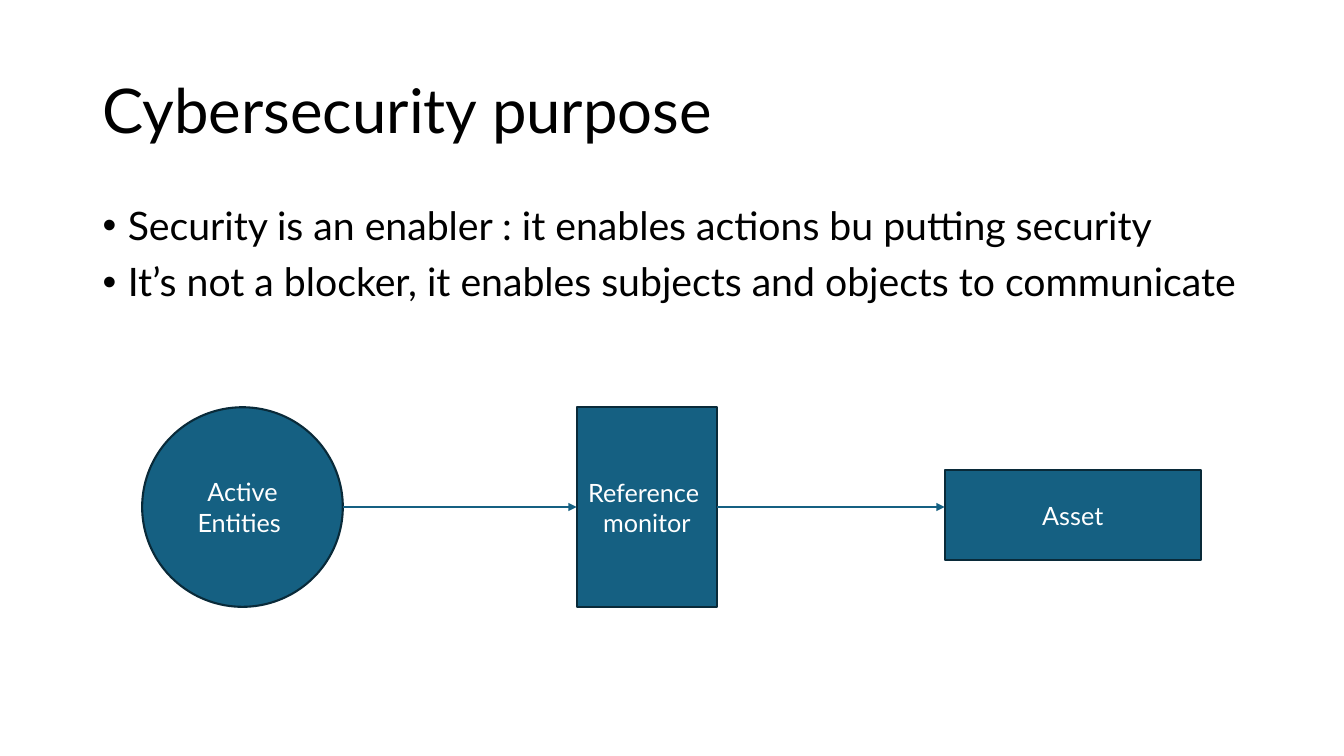
from lxml.etree import SubElement
from pptx import Presentation
from pptx.dml.color import RGBColor
from pptx.enum.shapes import MSO_CONNECTOR, MSO_SHAPE
from pptx.enum.text import MSO_ANCHOR, PP_ALIGN
from pptx.oxml.ns import qn
from pptx.util import Inches, Pt

FONT = "Lato"
COLORS = {"text": "000000", "label": "FFFFFF", "fill": "156082", "outline": "092A39"}
FLOW_Y = 5.03


def color(name):
    return RGBColor.from_string(COLORS[name])


def style_text(para, size, color_name):
    for span in para.runs:
        span.font.name = FONT
        span.font.size = Pt(size)
        span.font.color.rgb = color(color_name)


def add_bullet(para):
    properties = para._p.get_or_add_pPr()
    properties.set("marL", str(Inches(0.25)))
    properties.set("indent", str(-Inches(0.25)))
    SubElement(properties, qn("a:buFont"), typeface="Arial")
    SubElement(properties, qn("a:buChar"), char="•")


def add_text(page, place, text, size, anchor, bulleted=False):
    box = page.shapes.add_textbox(*map(Inches, place))
    frame = box.text_frame
    frame.word_wrap = True
    frame.vertical_anchor = anchor
    frame.text = text
    for para in frame.paragraphs:
        para.line_spacing = 0.9
        style_text(para, size, "text")
        if bulleted:
            para.space_before = Pt(10)
            add_bullet(para)


def add_node(page, kind, place, text):
    node = page.shapes.add_shape(kind, *map(Inches, place))
    node.shadow.inherit = False
    node.fill.solid()
    node.fill.fore_color.rgb = color("fill")
    node.line.color.rgb = color("outline")
    node.line.width = Pt(1.5)
    frame = node.text_frame
    frame.word_wrap = True
    frame.vertical_anchor = MSO_ANCHOR.MIDDLE
    frame.text = text
    for para in frame.paragraphs:
        para.alignment = PP_ALIGN.CENTER
        style_text(para, 18, "label")
    return node


def add_arrow(page, source, target):
    arrow = page.shapes.add_connector(
        MSO_CONNECTOR.STRAIGHT,
        source.left + source.width, Inches(FLOW_Y), target.left, Inches(FLOW_Y))
    arrow.line.color.rgb = color("fill")
    arrow.line.width = Pt(1.5)
    SubElement(arrow.line._get_or_add_ln(), qn("a:tailEnd"), type="triangle")
    SubElement(arrow._element.spPr, qn("a:effectLst"))


def main():
    deck = Presentation()
    deck.slide_width, deck.slide_height = Inches(13.33), Inches(7.5)
    page = deck.slides.add_slide(deck.slide_layouts[6])

    # Title and bullets
    add_text(page, (0.92, 0.4, 11.5, 1.45), "Cybersecurity purpose", 44, MSO_ANCHOR.MIDDLE)
    bullets = [
        "Security is an enabler : it enables actions bu putting security",
        "It’s not a blocker, it enables subjects and objects to communicate",
    ]
    add_text(page, (0.92, 2, 11.5, 4.76), "\n".join(bullets), 28, MSO_ANCHOR.TOP, bulleted=True)

    # Access flow
    entities = add_node(page, MSO_SHAPE.OVAL, (1.41, 4.04, 1.99, 1.98), "Active Entities ")
    monitor = add_node(page, MSO_SHAPE.RECTANGLE, (5.72, 4.04, 1.39, 1.98), "Reference \nmonitor")
    asset = add_node(page, MSO_SHAPE.RECTANGLE, (9.37, 4.66, 2.54, 0.9), "Asset")
    add_arrow(page, entities, monitor)
    add_arrow(page, monitor, asset)

    deck.save("out.pptx")


if __name__ == "__main__":
    main()
